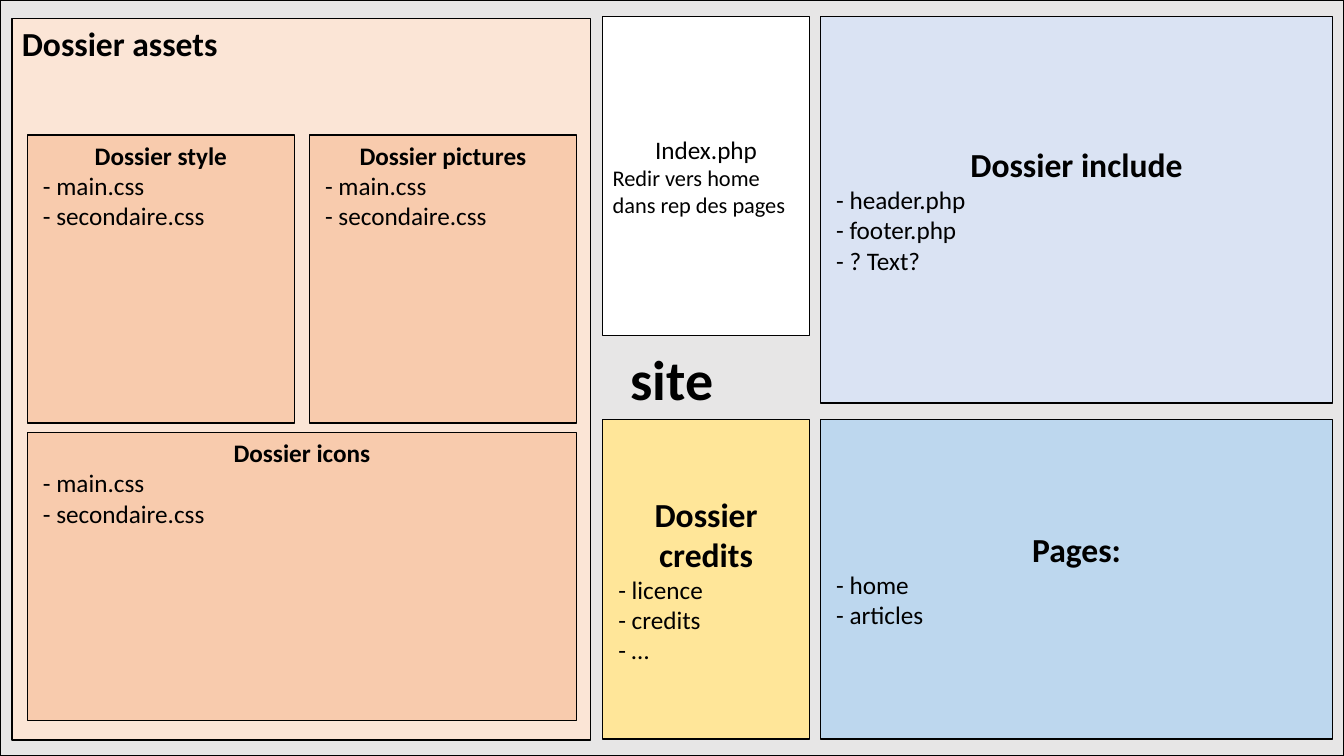
from dataclasses import dataclass

from pptx import Presentation
from pptx.dml.color import RGBColor
from pptx.enum.shapes import MSO_SHAPE
from pptx.enum.text import MSO_ANCHOR, MSO_AUTO_SIZE, PP_ALIGN
from pptx.shapes.autoshape import Shape
from pptx.slide import Slide
from pptx.text.text import _Paragraph
from pptx.util import Cm, Pt

RECT = MSO_SHAPE.RECTANGLE
TOP, MIDDLE = MSO_ANCHOR.TOP, MSO_ANCHOR.MIDDLE
LEFT, CENTER = PP_ALIGN.LEFT, PP_ALIGN.CENTER
NO_FIT = MSO_AUTO_SIZE.NONE


@dataclass(frozen=True)
class Theme:
    font: str = "Calibri"
    ink: str = "000000"
    site: str = "E7E6E6"
    index: str = "FFFFFF"
    include: str = "DAE3F3"
    assets: str = "FBE5D6"
    asset_folder: str = "F8CBAD"
    credits: str = "FFE699"
    pages: str = "BDD7EE"
    site_size: int = 40
    heading: int = 24
    text: int = 18
    note: int = 16
    line: int = 1


THEME = Theme()


@dataclass(frozen=True)
class Box:
    """A framed folder or file; lengths in centimetres."""
    left: float
    top: float
    width: float
    height: float
    fill: str
    title: str
    lines: tuple[str, ...] = ()
    title_size: int = THEME.heading
    text_size: int = THEME.text
    bold: bool = True
    align: PP_ALIGN = CENTER
    anchor: MSO_ANCHOR = MIDDLE


# Grid
SLIDE_W, SLIDE_H = 33.87, 19.05
MID_X, MID_W = 15.19, 5.21
RIGHT_X, RIGHT_W = 20.68, 12.9
UPPER_Y, LOWER_Y, ROW_H = 0.41, 10.57, 8.05
INNER_X, INNER_Y = 0.69, 3.4
INNER_W, INNER_H = 6.73, 7.26
STEP_X, STEP_Y = 7.11, 7.5

SITE = Box(0, 0, SLIDE_W, SLIDE_H, THEME.site, "site", title_size=THEME.site_size)


def asset_folder(title: str, column: int, row: int, span: int = 1) -> Box:
    """A folder inside the assets box, placed on its two-column grid."""
    return Box(INNER_X + column * STEP_X, INNER_Y + row * STEP_Y,
               INNER_W + (span - 1) * STEP_X, INNER_H, THEME.asset_folder, title,
               (" - main.css", " - secondaire.css"),
               title_size=THEME.text, anchor=TOP)


BOXES = (
    Box(MID_X, UPPER_Y, MID_W, ROW_H, THEME.index, "Index.php",
        ("Redir vers home dans rep des pages",),
        title_size=THEME.text, text_size=THEME.note, bold=False),
    Box(RIGHT_X, UPPER_Y, RIGHT_W, 9.75, THEME.include, "Dossier include",
        (" - header.php", " - footer.php", " - ? Text?")),
    Box(0.3, 0.46, 14.58, 18.19, THEME.assets, "Dossier assets",
        align=LEFT, anchor=TOP),
    Box(MID_X, LOWER_Y, MID_W, ROW_H, THEME.credits, "Dossier credits",
        (" - licence", " - credits", " - …")),
    Box(RIGHT_X, LOWER_Y, RIGHT_W, ROW_H, THEME.pages, "Pages:",
        (" - home", " - articles")),
    asset_folder("Dossier style", 0, 0),
    asset_folder("Dossier pictures", 1, 0),
    asset_folder("Dossier icons", 0, 1, span=2),
)


def format_paragraph(p: _Paragraph, text: str, size: int, bold: bool,
                     align: PP_ALIGN) -> None:
    p.text = text
    p.alignment = align
    p.font.name = THEME.font
    p.font.size = Pt(size)
    p.font.bold = bold
    p.font.color.rgb = RGBColor.from_string(THEME.ink)


def format_box(sp: Shape, box: Box) -> None:
    """Place, colour and fill in a shape or placeholder."""
    sp.left, sp.top = Cm(box.left), Cm(box.top)
    sp.width, sp.height = Cm(box.width), Cm(box.height)
    sp.shadow.inherit = False
    sp.fill.solid()
    sp.fill.fore_color.rgb = RGBColor.from_string(box.fill)
    sp.line.color.rgb = RGBColor.from_string(THEME.ink)
    sp.line.width = Pt(THEME.line)

    tf = sp.text_frame
    tf.word_wrap = True
    tf.auto_size = NO_FIT
    tf.vertical_anchor = box.anchor
    format_paragraph(tf.paragraphs[0], box.title, box.title_size, box.bold, box.align)
    for line in box.lines:
        format_paragraph(tf.add_paragraph(), line, box.text_size, False, LEFT)


def add_box(s: Slide, box: Box) -> None:
    sp = s.shapes.add_shape(RECT, Cm(box.left), Cm(box.top),
                            Cm(box.width), Cm(box.height))
    format_box(sp, box)


def main() -> None:
    prs = Presentation()
    prs.slide_width, prs.slide_height = Cm(SLIDE_W), Cm(SLIDE_H)
    s = prs.slides.add_slide(prs.slide_layouts.get_by_name("Title Only"))

    # The site frame is the slide title, behind everything else
    format_box(s.shapes.title, SITE)

    # Folders and files of the site
    for box in BOXES:
        add_box(s, box)

    prs.save("out.pptx")


if __name__ == "__main__":
    main()
